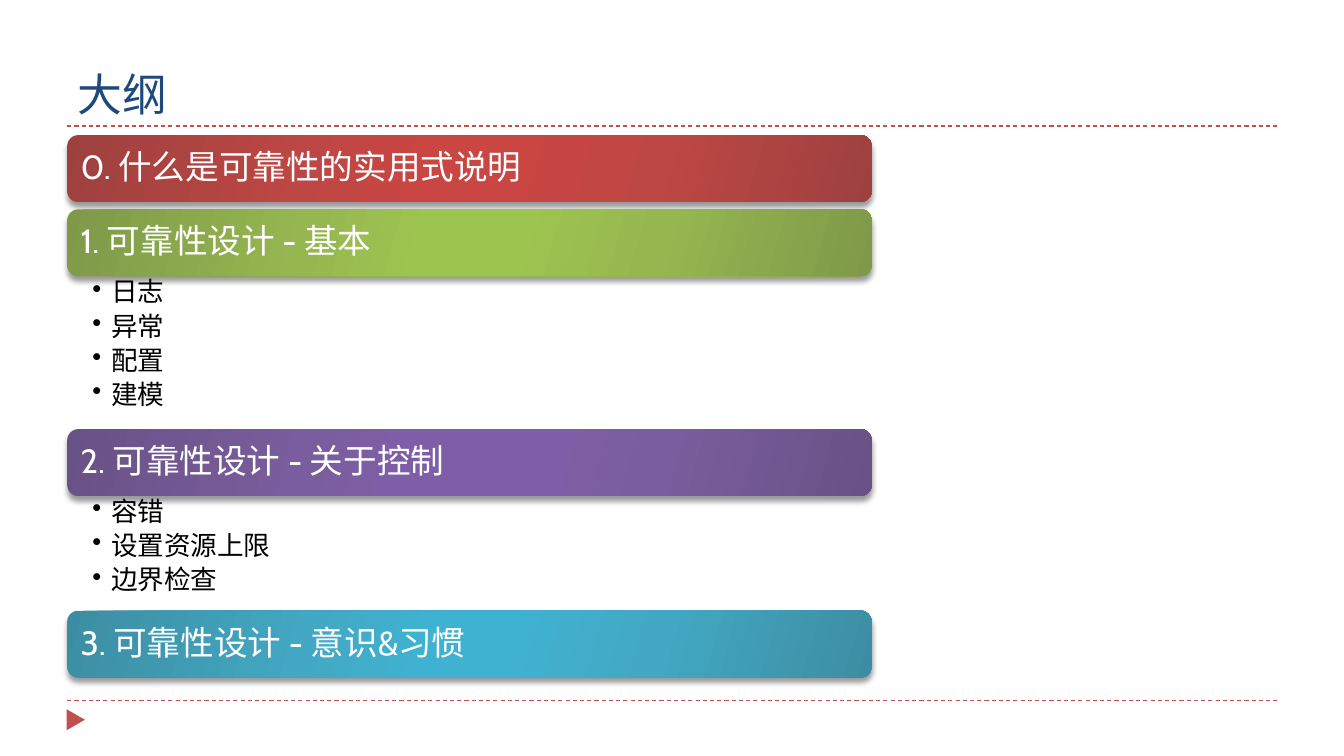
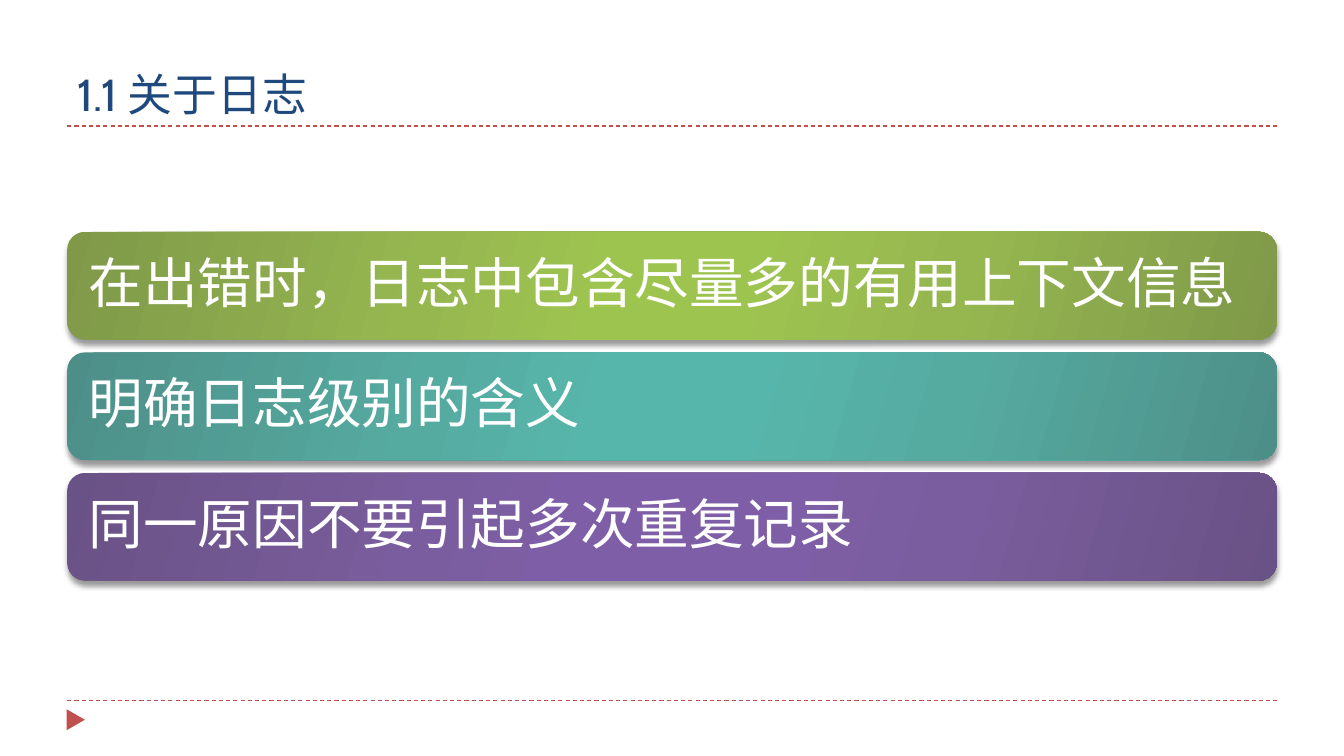
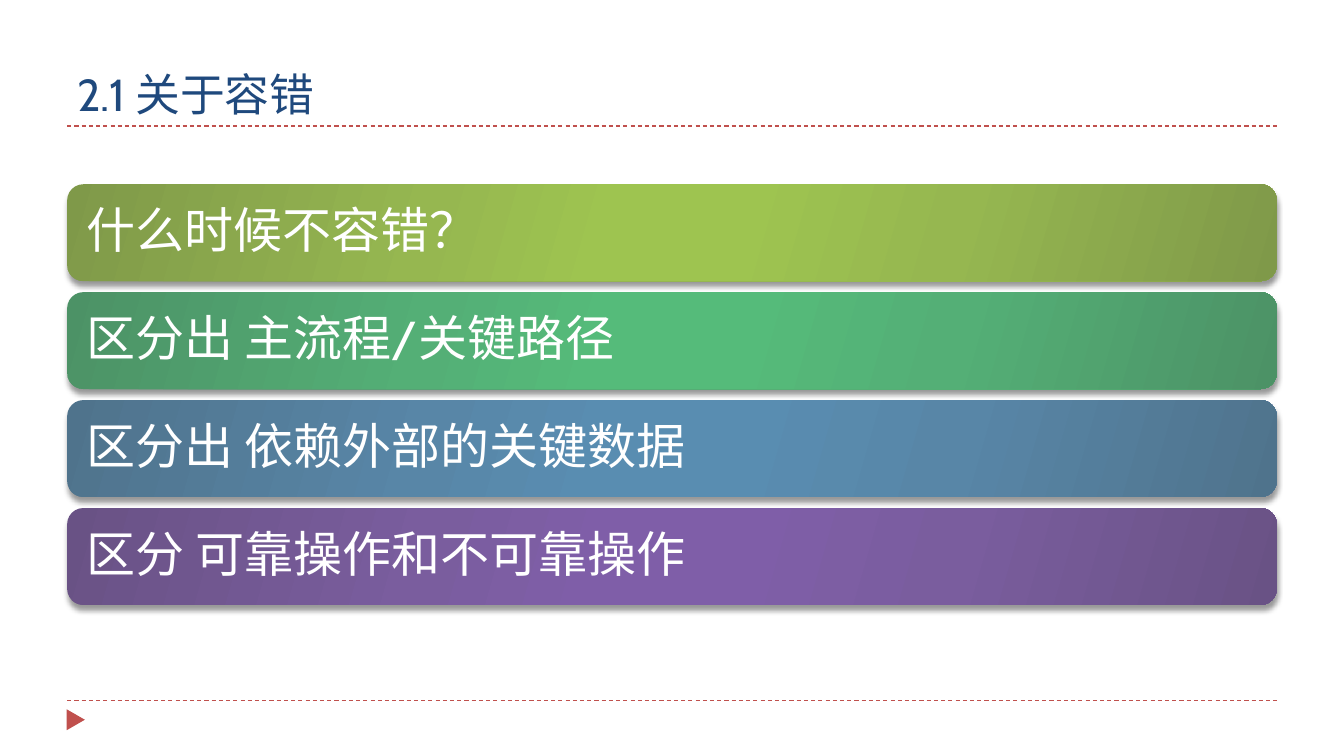
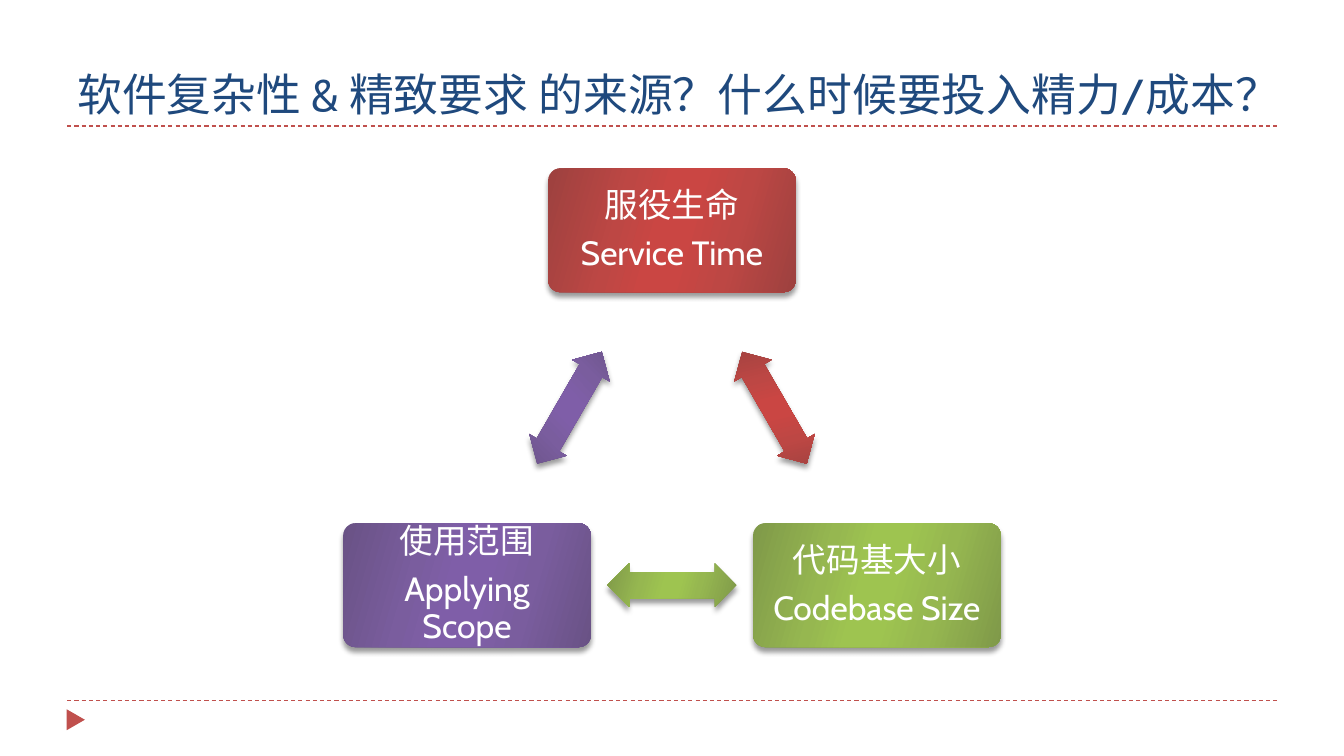
from lxml.etree import SubElement
from pptx import Presentation
from pptx.dml.color import RGBColor
from pptx.enum.dml import MSO_LINE
from pptx.enum.lang import MSO_LANGUAGE_ID
from pptx.enum.shapes import MSO_CONNECTOR, MSO_SHAPE
from pptx.enum.text import MSO_ANCHOR, MSO_AUTO_SIZE, PP_ALIGN
from pptx.oxml.ns import qn
from pptx.util import Pt

FONT = "Cabin"
COLORS = {"title": "1F497D", "accent": "C0504D", "white": "FFFFFF", "black": "000000"}
# Each gradient runs edge, shade, core, core, shade, edge.
GRADIENTS = {
    "red": ("9D413F", "BD4744", "CA4643"),
    "lime": ("7F9949", "96B750", "9EC450"),
    "purple": ("695285", "7A5D9E", "7F5EA8"),
    "cyan": ("3D8DA2", "42A8C3", "40B2D1"),
    "teal": ("4D8F88", "56ABA1", "57B6AB"),
    "green": ("4C9266", "54AF76", "55BB7A"),
    "blue": ("4F738C", "5886A7", "598DB1"),
}
GRADIENT_STOPS = ((0, 0), (30, 1), (45, 2), (55, 2), (73, 1), (100, 0))
LEFT, WIDTH = 48, 864

OUTLINE_TITLE = "大纲"
OUTLINE = [
    ("0. 什么是可靠性的实用式说明", "red", []),
    ("1. 可靠性设计 - 基本", "lime", ["日志", "异常", "配置", "建模"]),
    ("2. 可靠性设计 - 关于控制", "purple", ["容错", "设置资源上限", "边界检查"]),
    ("3. 可靠性设计 - 意识&习惯", "cyan", []),
]
BAR_SLIDES = [
    {
        "title": "1.1 关于日志",
        "top": 165.6, "height": 77, "pitch": 86.1, "size": 39,
        "bars": [
            ("在出错时，日志中包含尽量多的有用上下文信息", "lime"),
            ("明确日志级别的含义", "teal"),
            ("同一原因不要引起多次重复记录", "purple"),
        ],
    },
    {
        "title": "2.1 关于容错",
        "top": 131.6, "height": 69.2, "pitch": 77.1, "size": 35,
        "bars": [
            ("什么时候不容错？", "lime"),
            ("区分出 主流程/关键路径", "green"),
            ("区分出 依赖外部的关键数据", "blue"),
            ("区分 可靠操作和不可靠操作", "purple"),
        ],
    },
]
CYCLE_TITLE = "软件复杂性 & 精致要求 的来源？什么时候要投入精力/成本？"
# Lines, gradient, centre of the box
CYCLE = [
    (["服役生命", "Service Time"], "red", (480, 164.5)),
    (["代码基大小", "Codebase Size"], "lime", (626.4, 418)),
    (["使用范围", "Applying Scope"], "purple", (333.6, 418)),
]


def add_text(paragraph, text, size, color):
    run = paragraph.add_run()
    run.text = text
    font = run.font
    font.size = Pt(size)
    font.name = FONT
    font.language_id = MSO_LANGUAGE_ID.SIMPLIFIED_CHINESE
    font.color.rgb = RGBColor.from_string(COLORS[color])
    SubElement(font._element, qn("a:ea"), typeface=FONT)


def set_insets(frame, left, top, right, bottom):
    frame.margin_left, frame.margin_top = Pt(left), Pt(top)
    frame.margin_right, frame.margin_bottom = Pt(right), Pt(bottom)


def fill_frame(frame, lines, size, color, alignment, space_share):
    """Write one paragraph per line, with space after as a share of the text size."""
    frame.word_wrap = True
    for index, line in enumerate(lines):
        paragraph = frame.add_paragraph() if index else frame.paragraphs[0]
        paragraph.alignment = alignment
        paragraph.line_spacing = 0.9
        paragraph.space_after = Pt(size * space_share)
        add_text(paragraph, line, size, color)


def add_glossy_shape(slide, kind, left, top, width, height, gradient):
    """Add a preset shape with a six-stop gradient and a soft shadow below."""
    shape = slide.shapes.add_shape(kind, Pt(left), Pt(top), Pt(width), Pt(height))
    shape.line.fill.background()
    shape.fill.gradient()
    shape.fill.gradient_angle = 344
    properties = shape.element.spPr
    stops = properties.find(".//" + qn("a:gsLst"))
    for stop in list(stops):
        stops.remove(stop)
    for position, tone in GRADIENT_STOPS:
        stop = SubElement(stops, qn("a:gs"), pos=str(position * 1000))
        SubElement(stop, qn("a:srgbClr"), val=GRADIENTS[gradient][tone])
    shape.shadow.inherit = False
    shadow = SubElement(properties.find(qn("a:effectLst")), qn("a:outerShdw"),
                        blurRad=str(Pt(4)), dist=str(Pt(3.4)), dir="5400000",
                        rotWithShape="0")
    shadow_color = SubElement(shadow, qn("a:srgbClr"), val=COLORS["black"])
    SubElement(shadow_color, qn("a:alpha"), val="40000")
    return shape


def add_box(slide, left, top, width, height, gradient, lines, size,
            alignment=PP_ALIGN.LEFT):
    box = add_glossy_shape(slide, MSO_SHAPE.ROUNDED_RECTANGLE,
                           left, top, width, height, gradient)
    frame = box.text_frame
    set_insets(frame, *[size * 0.3] * 4)
    frame.vertical_anchor = MSO_ANCHOR.MIDDLE
    fill_frame(frame, lines, size, "white", alignment, 0.35)
    return box


def add_bullets(slide, top, width, height, items):
    frame = slide.shapes.add_textbox(Pt(LEFT), Pt(top), Pt(width), Pt(height)).text_frame
    set_insets(frame, 18, 2, 13.5, 2)
    fill_frame(frame, items, 19, "black", PP_ALIGN.LEFT, 0.2)
    for paragraph in frame.paragraphs:
        properties = paragraph._p.get_or_add_pPr()
        properties.set("marL", str(Pt(13.5)))
        properties.set("indent", str(Pt(-13.5)))
        SubElement(properties, qn("a:buChar"), char="•")


def furnish_layout(layout, slide):
    """Draw the rules and the corner marker on a slide, then move them to its layout."""
    decorations = []
    for y in (500.4, 90):
        rule = slide.shapes.add_connector(MSO_CONNECTOR.STRAIGHT, Pt(LEFT), Pt(y),
                                          Pt(LEFT + WIDTH), Pt(y))
        rule.line.color.rgb = RGBColor.from_string(COLORS["accent"])
        rule.line.width = Pt(0.75)
        rule.line.dash_style = MSO_LINE.DASH
        SubElement(rule.element.spPr, qn("a:effectLst"))
        decorations.append(rule)
    marker = slide.shapes.add_shape(MSO_SHAPE.ISOSCELES_TRIANGLE,
                                    Pt(46.6), Pt(507.6), Pt(15), Pt(13))
    marker.rotation = 90
    marker.fill.solid()
    marker.fill.fore_color.rgb = RGBColor.from_string(COLORS["accent"])
    marker.line.fill.background()
    marker.shadow.inherit = False
    decorations.append(marker)
    for number, shape in enumerate(decorations, start=101):
        shape.element.xpath(".//p:cNvPr")[0].set("id", str(number))
        layout.shapes.element.append(shape.element)


def add_titled_slide(presentation, layout, text):
    slide = presentation.slides.add_slide(layout)
    title = slide.shapes.title
    title.left, title.top, title.width, title.height = Pt(LEFT), Pt(12), Pt(WIDTH), Pt(78)
    frame = title.text_frame
    frame.word_wrap = True
    frame.auto_size = MSO_AUTO_SIZE.NONE
    frame.vertical_anchor = MSO_ANCHOR.BOTTOM
    paragraph = frame.paragraphs[0]
    paragraph.alignment = PP_ALIGN.LEFT
    add_text(paragraph, text, 32, "title")
    return slide


def build_outline(slide):
    top, width, bar_height, gap, item_height = 96.5, 574.6, 47.8, 5.2, 27.3
    for heading, gradient, items in OUTLINE:
        add_box(slide, LEFT, top, width, bar_height, gradient, [heading], 24)
        top += bar_height
        if items:
            height = item_height * len(items)
            add_bullets(slide, top, width, height, items)
            top += height
        else:
            top += gap


def build_bars(slide, content):
    for index, (text, gradient) in enumerate(content["bars"]):
        add_box(slide, LEFT, content["top"] + index * content["pitch"], WIDTH,
                content["height"], gradient, [text], content["size"])


def build_cycle(slide):
    box_width, box_height, arrow_width, arrow_height = 177, 88.5, 92.2, 31
    for index, (lines, gradient, (x, y)) in enumerate(CYCLE):
        box = add_box(slide, x - box_width / 2, y - box_height / 2, box_width, box_height,
                      gradient, lines, 24, PP_ALIGN.CENTER)
        box.adjustments[0] = 0.1
        next_x, next_y = CYCLE[(index + 1) % len(CYCLE)][2]
        arrow = add_glossy_shape(slide, MSO_SHAPE.LEFT_RIGHT_ARROW,
                                 (x + next_x - arrow_width) / 2,
                                 (y + next_y - arrow_height) / 2,
                                 arrow_width, arrow_height, gradient)
        arrow.adjustments[0], arrow.adjustments[1] = 0.6, 0.5
        arrow.rotation = 60 + 120 * index


def main():
    presentation = Presentation()
    presentation.slide_width, presentation.slide_height = Pt(960), Pt(540)
    layout = presentation.slide_layouts.get_by_name("Title Only")
    outline = add_titled_slide(presentation, layout, OUTLINE_TITLE)
    furnish_layout(layout, outline)
    build_outline(outline)
    for content in BAR_SLIDES:
        build_bars(add_titled_slide(presentation, layout, content["title"]), content)
    build_cycle(add_titled_slide(presentation, layout, CYCLE_TITLE))
    presentation.save("out.pptx")


if __name__ == "__main__":
    main()
